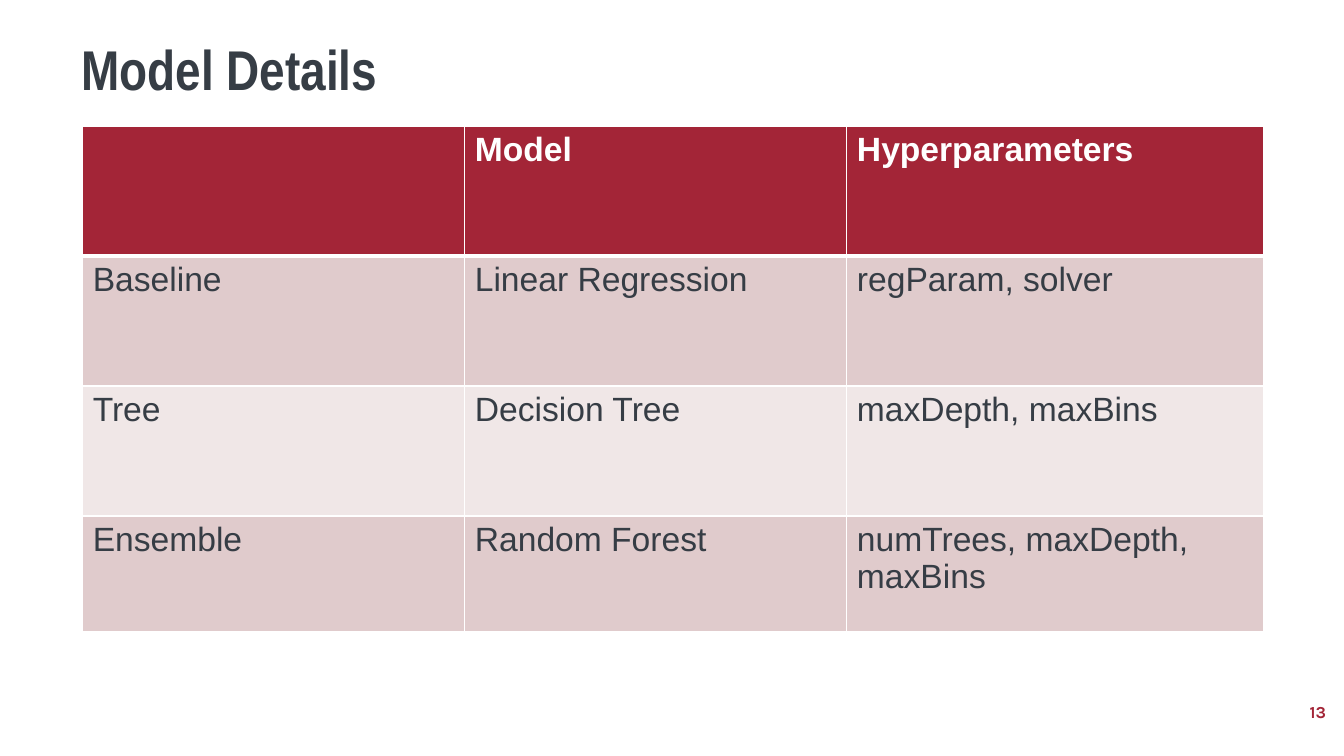
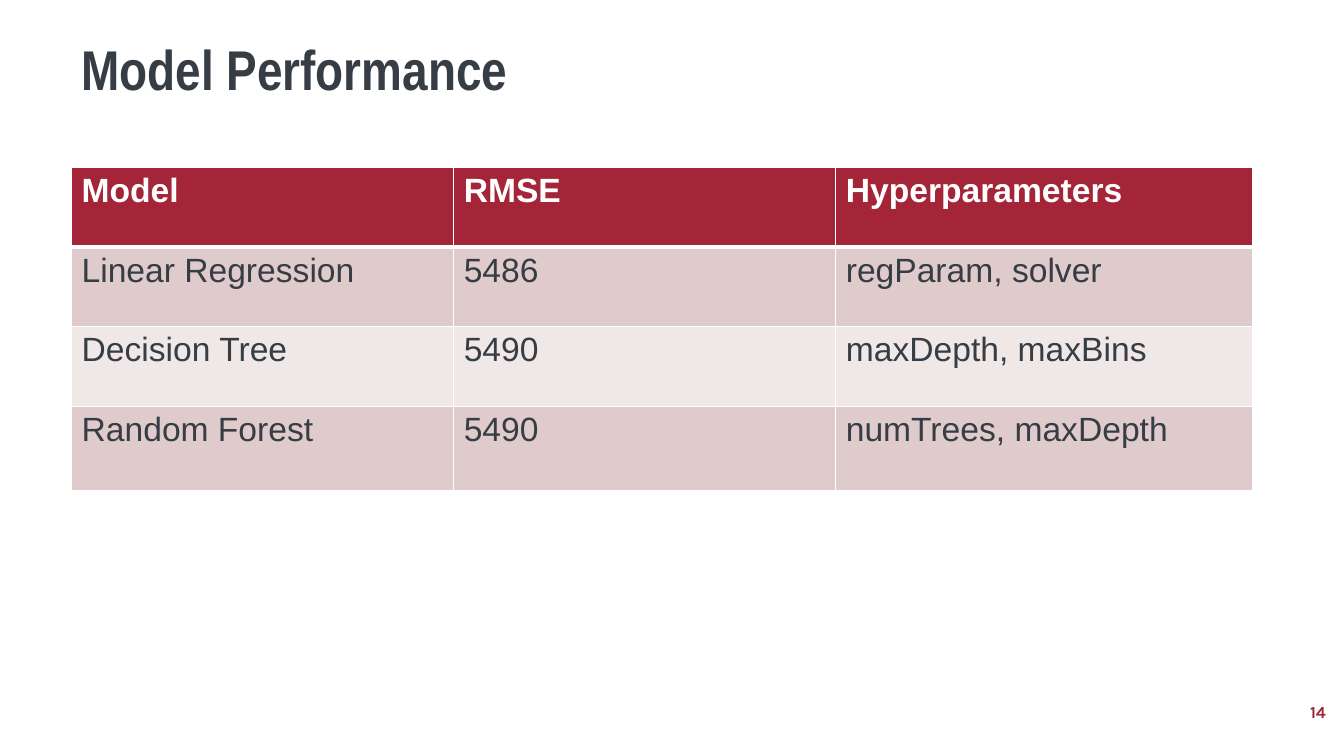
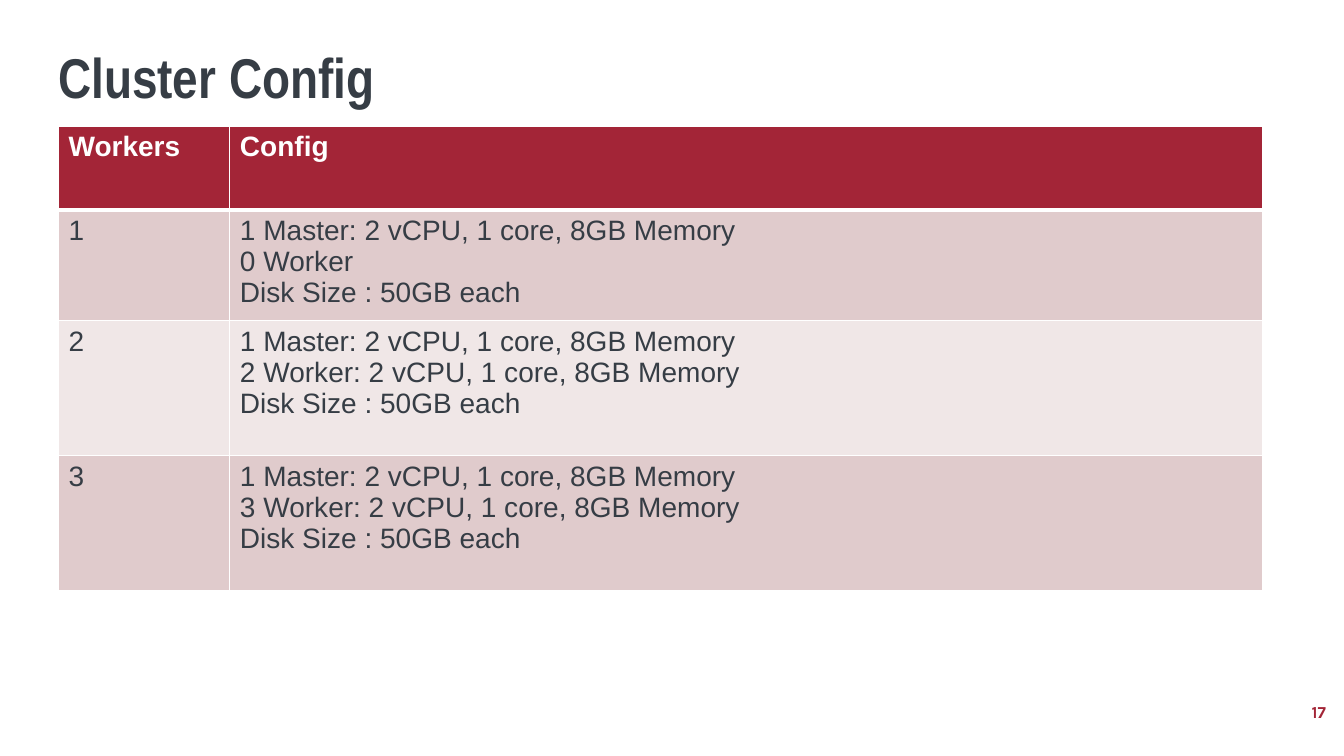
from dataclasses import dataclass
from lxml.etree import SubElement
from pptx import Presentation
from pptx.dml.color import RGBColor
from pptx.enum.text import MSO_ANCHOR, PP_ALIGN
from pptx.oxml.ns import qn
from pptx.util import Inches, Pt


@dataclass(frozen=True)
class Theme:
    red: str = "A32537"
    ink: str = "363D45"
    white: str = "FFFFFF"
    bands: tuple = ("E0CBCC", "F0E7E7")
    head: str = "Arial Narrow"
    body: str = "Arial"
    foot: str = "Karla"
    big: int = 40
    cell: int = 24
    dense: int = 20
    small: int = 12


THEME = Theme()


def write(frame, text, *, font, size, color, bold=False,
          align=PP_ALIGN.LEFT, space=1.0):
    """Fill a text frame, one paragraph for each line."""
    frame.word_wrap = True
    for i, line in enumerate(text.split("\n")):
        para = frame.add_paragraph() if i else frame.paragraphs[0]
        para.alignment = align
        para.line_spacing = space
        run = para.add_run()
        run.text = line
        run.font.name = font
        run.font.size = Pt(size)
        run.font.bold = bold
        run.font.color.rgb = RGBColor.from_string(color)


def edge(cell, color, bottom):
    """Draw the four borders of a cell; fills must be set afterwards."""
    props = cell._tc.get_or_add_tcPr()
    for side, width in (("L", 1), ("R", 1), ("T", 1), ("B", bottom)):
        line = SubElement(props, qn(f"a:ln{side}"), w=str(Pt(width)))
        fill = SubElement(line, qn("a:solidFill"))
        SubElement(fill, qn("a:srgbClr"), val=color)


class Deck:
    def __init__(self, theme):
        self.theme = theme
        self.show = Presentation()
        self.show.slide_width = Inches(13.33)
        self.show.slide_height = Inches(7.5)
        self.slide = None

    def page(self, title, number, left=0.71, top=0.37):
        """Start a slide with its title and page number."""
        t = self.theme
        self.slide = self.show.slides.add_slide(self.show.slide_layouts[6])
        self.text(title, left, top, 11.71, 0.8, font=t.head, size=t.big,
                  color=t.ink, bold=True, space=0.9)
        self.text(str(number), 10.25, 6.86, 3, 0.4, MSO_ANCHOR.MIDDLE,
                  font=t.foot, size=t.small, color=t.red, bold=True,
                  align=PP_ALIGN.RIGHT)

    def text(self, text, left, top, width, height,
             anchor=MSO_ANCHOR.TOP, **style):
        box = self.slide.shapes.add_textbox(
            Inches(left), Inches(top), Inches(width), Inches(height))
        box.text_frame.vertical_anchor = anchor
        write(box.text_frame, text, **style)

    def table(self, data, left, top, cols, rows, size):
        """Add a table with a red header and banded rows."""
        t = self.theme
        grid = self.slide.shapes.add_table(
            len(rows), len(cols), Inches(left), Inches(top),
            Inches(sum(cols)), Inches(sum(rows))).table
        for col, width in zip(grid.columns, cols):
            col.width = Inches(width)
        for r, (height, line) in enumerate(zip(rows, data)):
            grid.rows[r].height = Inches(height)
            first = r == 0
            back = t.red if first else t.bands[(r - 1) % 2]
            for c, text in enumerate(line):
                cell = grid.cell(r, c)
                edge(cell, t.white, 3 if first else 1)
                cell.fill.solid()
                cell.fill.fore_color.rgb = RGBColor.from_string(back)
                if text:
                    write(cell.text_frame, text, font=t.body, size=size,
                          color=t.white if first else t.ink, bold=first)


def setup(count):
    """Describe a cluster with the given number of workers."""
    node = "2 vCPU, 1 core, 8GB Memory"
    work = f"{count} Worker: {node}" if count else "0 Worker"
    return f"1 Master: {node}\n{work}\nDisk Size : 50GB each"


def main():
    deck = Deck(THEME)
    thirds = (3.79, 3.79, 4.13)

    # Models and their settings
    deck.page("Model Details", 13)
    deck.table([
        ("", "Model", "Hyperparameters"),
        ("Baseline", "Linear Regression", "regParam, solver"),
        ("Tree", "Decision Tree", "maxDepth, maxBins"),
        ("Ensemble", "Random Forest", "numTrees, maxDepth, maxBins"),
    ], 0.82, 1.25, thirds, (1.29, 1.29, 1.29, 1.15), THEME.cell)

    # Error of each model
    deck.page("Model Performance", 14)
    deck.table([
        ("Model", "RMSE", "Hyperparameters"),
        ("Linear Regression", "5486", "regParam, solver"),
        ("Decision Tree", "5490", "maxDepth, maxBins"),
        ("Random Forest", "5490", "numTrees, maxDepth"),
    ], 0.71, 1.66, thirds, (0.79, 0.79, 0.79, 0.84), THEME.cell)

    # Cluster sizes
    deck.page("Cluster Config", 17, left=0.48, top=0.45)
    deck.table([
        ("Workers", "Config"),
        ("1", setup(0)),
        ("2", setup(2)),
        ("3", setup(3)),
    ], 0.58, 1.25, (1.7, 10.24), (0.83, 1.03, 1.34, 1.34), THEME.dense)

    deck.show.save("out.pptx")


if __name__ == "__main__":
    main()
